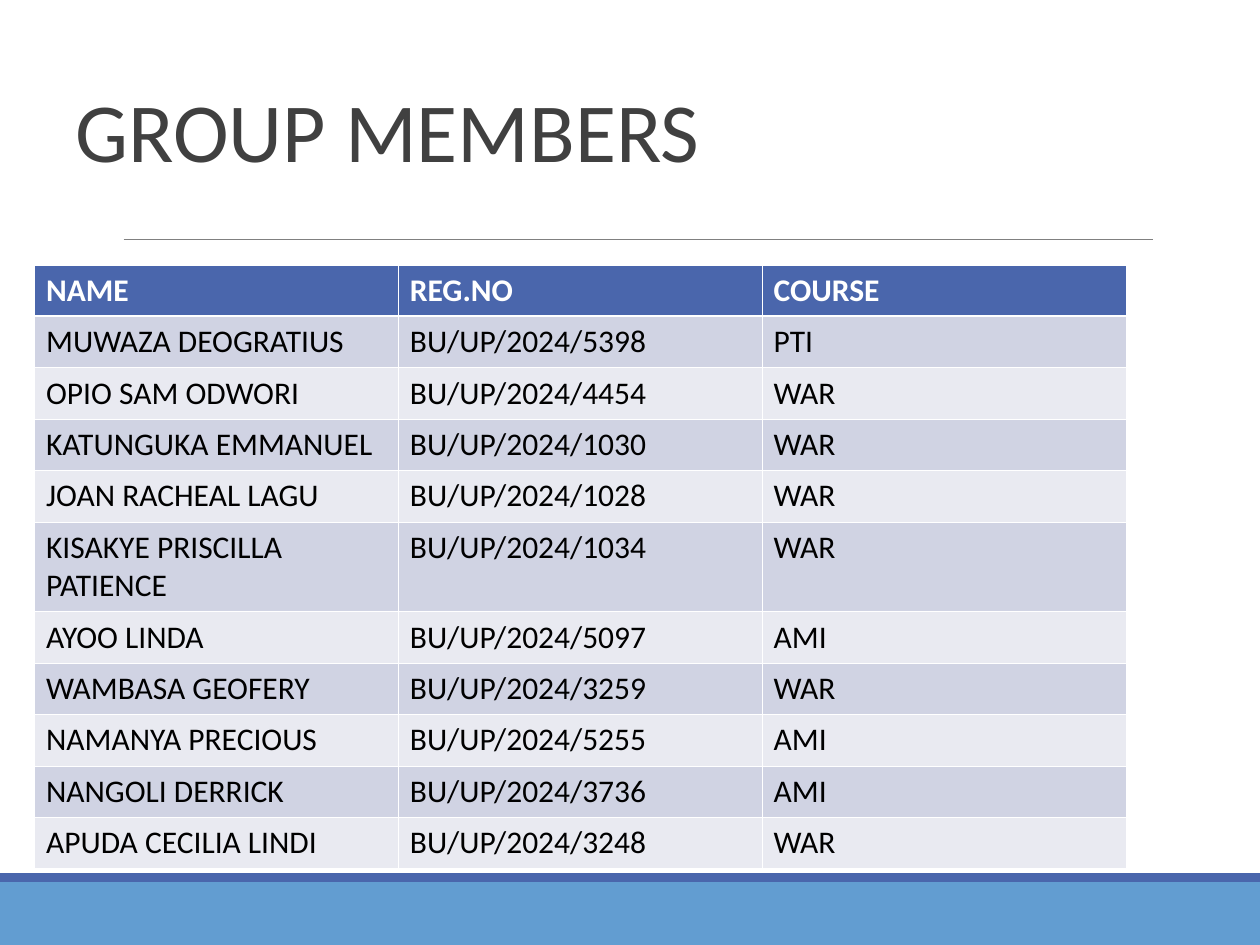
from lxml.etree import SubElement
from pptx import Presentation
from pptx.dml.color import RGBColor
from pptx.enum.shapes import MSO_CONNECTOR as Connector, MSO_SHAPE as Shape
from pptx.enum.text import MSO_ANCHOR as Anchor, PP_ALIGN as Align
from pptx.oxml.ns import qn
from pptx.util import Cm, Pt

TITLE_FORMAT = {"name": "Calibri", "size": Pt(48), "bold": False}
HEADER_FORMAT = {"name": "Calibri", "size": Pt(18), "bold": True}
BODY_FORMAT = {**HEADER_FORMAT, "bold": False}

HEADINGS = ("NAME", "REG.NO", "COURSE")
MEMBERS = [
    ("MUWAZA DEOGRATIUS", "5398", "PTI"),
    ("OPIO SAM ODWORI", "4454", "WAR"),
    ("KATUNGUKA EMMANUEL", "1030", "WAR"),
    ("JOAN RACHEAL LAGU", "1028", "WAR"),
    ("KISAKYE PRISCILLA PATIENCE", "1034", "WAR"),
    ("AYOO LINDA", "5097", "AMI"),
    ("WAMBASA GEOFERY", "3259", "WAR"),
    ("NAMANYA PRECIOUS", "5255", "AMI"),
    ("NANGOLI DERRICK", "3736", "AMI"),
    ("APUDA CECILIA LINDI", "3248", "WAR"),
]
ROW_HEIGHT, TALL_ROW_HEIGHT, TALL_ROW = 1.03, 1.81, 5


def color(value):
    return RGBColor.from_string(value)


def apply_format(target, values):
    for name, value in values.items():
        setattr(target, name, value)


def write(paragraph, text, font_format, font_color):
    run = paragraph.add_run()
    run.text = text
    apply_format(run.font, font_format)
    run.font.color.rgb = color(font_color)


def add_band(slide, left, top, width, height, fill):
    band = slide.shapes.add_shape(
        Shape.RECTANGLE, Cm(left), Cm(top), Cm(width), Cm(height))
    band.shadow.inherit = False
    band.fill.solid()
    band.fill.fore_color.rgb = color(fill)
    band.line.fill.background()


def add_footer(slide, left, top, width, height):
    stripe = 0.18
    add_band(slide, left, top + stripe, width, height - stripe, "629DD1")
    add_band(slide, left, top, width, stripe, "4A66AC")


def add_rule(slide, left, top, width):
    rule = slide.shapes.add_connector(
        Connector.STRAIGHT, Cm(left), Cm(top), Cm(left + width), Cm(top))
    rule.line.color.rgb = color("808080")
    rule.line.width = Pt(0.5)
    SubElement(rule._element.spPr, qn("a:effectLst"))


def add_title(slide, left, top, width, height):
    title = slide.shapes.title
    apply_format(title, {"left": Cm(left), "top": Cm(top),
                         "width": Cm(width), "height": Cm(height)})
    apply_format(title.text_frame,
                 {"vertical_anchor": Anchor.BOTTOM, "word_wrap": True})
    paragraph = title.text_frame.paragraphs[0]
    apply_format(paragraph, {"alignment": Align.LEFT, "line_spacing": 0.85})
    write(paragraph, "GROUP MEMBERS", TITLE_FORMAT, "404040")


def set_borders(cell, widths):
    properties = cell._tc.get_or_add_tcPr()
    for side, width in widths.items():
        line = SubElement(properties, qn(f"a:ln{side}"), w=str(Pt(width)))
        fill = SubElement(line, qn("a:solidFill"))
        SubElement(fill, qn("a:srgbClr"), val="FFFFFF")


def style_cell(cell, row, text):
    thin, thick = 0.45, 1.47
    set_borders(cell, {"L": thin, "R": thin,
                       "T": thick if row == 1 else thin,
                       "B": thick if row == 0 else thin})
    apply_format(cell, {"margin_left": Cm(0.23), "margin_right": Cm(0.23),
                        "margin_top": Cm(0.13), "margin_bottom": Cm(0.13)})
    cell.fill.solid()
    paragraph = cell.text_frame.paragraphs[0]
    if row == 0:
        cell.fill.fore_color.rgb = color("4A66AC")
        write(paragraph, text, HEADER_FORMAT, "FFFFFF")
    else:
        cell.fill.fore_color.rgb = color("D0D3E3" if row % 2 else "E9EAF1")
        write(paragraph, text, BODY_FORMAT, "000000")


def add_member_table(slide, left, top, width):
    rows = [HEADINGS] + [(name, f"BU/UP/2024/{number}", course)
                         for name, number, course in MEMBERS]
    heights = [TALL_ROW_HEIGHT if row == TALL_ROW else ROW_HEIGHT
               for row in range(len(rows))]
    table = slide.shapes.add_table(
        len(rows), len(HEADINGS), Cm(left), Cm(top),
        Cm(width), Cm(sum(heights))).table
    for row, (height, texts) in enumerate(zip(heights, rows)):
        table.rows[row].height = Cm(height)
        for column, text in enumerate(texts):
            style_cell(table.cell(row, column), row, text)


def main():
    presentation = Presentation()
    apply_format(presentation,
                 {"slide_width": Cm(25.4), "slide_height": Cm(19.05)})
    slide = presentation.slides.add_slide(presentation.slide_layouts[5])
    add_footer(slide, 0, 17.6, 25.4, 1.45)
    add_rule(slide, 2.49, 4.83, 20.75)
    add_title(slide, 1.27, 0.56, 22.86, 3.18)
    add_member_table(slide, 0.7, 5.34, 22)
    presentation.save("out.pptx")


if __name__ == "__main__":
    main()
